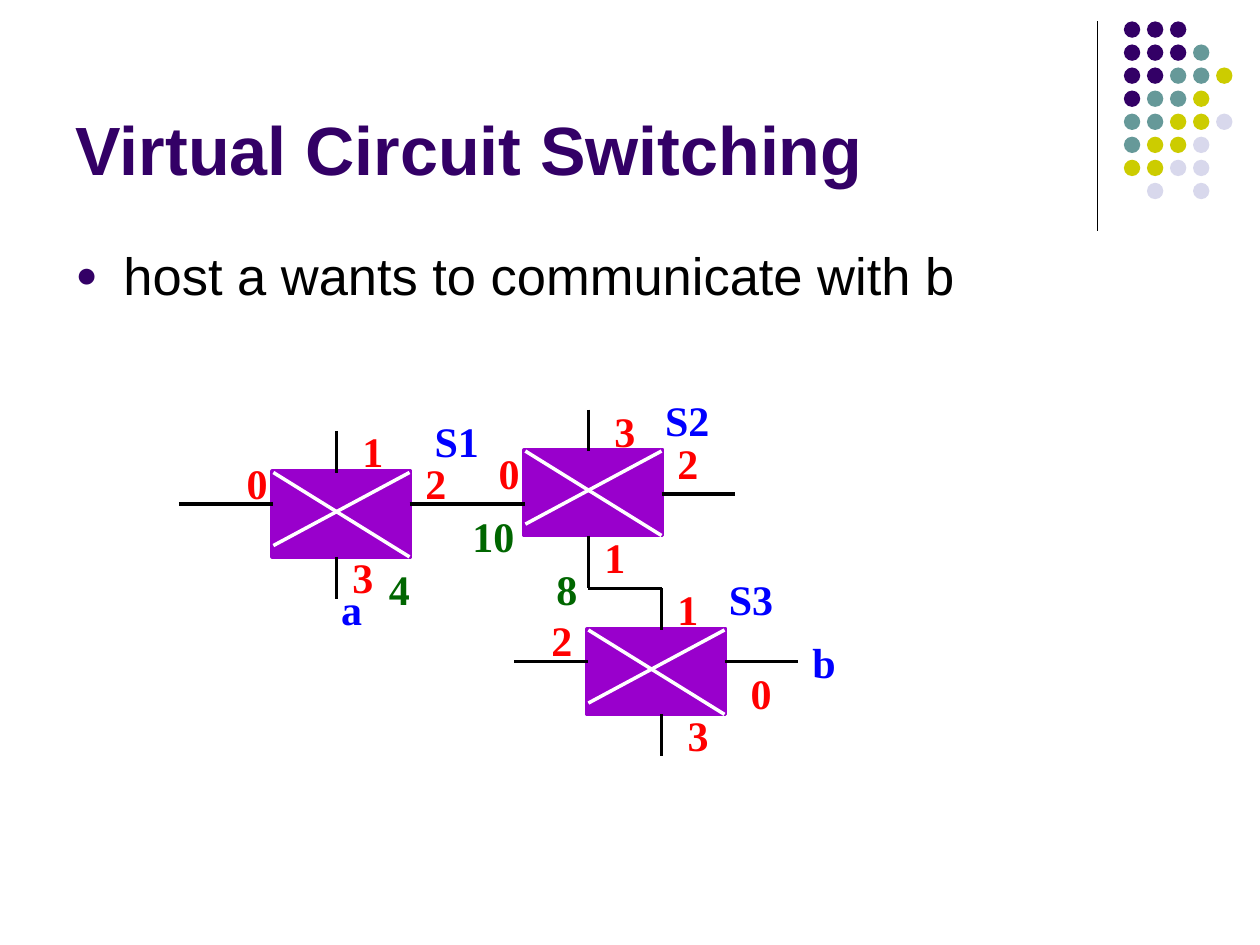
import pptx
import pptx.dml.color
import pptx.enum.shapes
import pptx.enum.text
import pptx.oxml
import pptx.oxml.ns
import pptx.util
from pptx.util import Inches

INDIGO = "330066"
PURPLE = "9900CC"
BLACK = "000000"
WHITE = "FFFFFF"
BLUE = "0000FF"
RED = "FF0000"
GREEN = "006600"

DOT_COLORS = {"I": INDIGO, "T": "669999", "Y": "CCCC00", "L": "D8D8EC"}
DOT_ROWS = ["III", "IIIT", "IITTY", "ITTY", "TTYYL", "TYYL", "YYLL", " L L"]
DOT_PITCH = 0.183
DOT_SIZE = 0.13

SWITCH_ORIGINS = [(2.17, 3.75), (4.17, 3.58), (4.67, 5)]

WIRES = [
    (1.42, 4, 2.17, 4),
    (3.25, 4, 3.83, 4),
    (3.83, 4, 4.17, 4),
    (4.67, 4.25, 4.67, 4.67),
    (4.67, 4.67, 5.25, 4.67),
    (5.25, 4.67, 5.25, 5),
    (4.08, 5.25, 4.67, 5.25),
    (5.75, 5.25, 6.33, 5.25),
    (5.25, 3.92, 5.83, 3.92),
    (5.25, 5.67, 5.25, 6),
    (2.67, 3.42, 2.67, 3.75),
    (2.67, 4.42, 2.67, 4.75),
    (4.67, 3.25, 4.67, 3.58),
]

NAMES = [
    ("S1", 3.25, 3.25, 0.75),
    ("S2", 5.08, 3.08, 0.75),
    ("S3", 5.67, 4.5, 0.58),
    ("a", 2.5, 4.58, 0.58),
    ("b", 6.25, 5, 0.58),
]

PORTS = [
    ("1", 2.75, 3.33), ("2", 3.25, 3.58), ("3", 2.67, 4.33), ("0", 1.83, 3.58),
    ("3", 4.75, 3.17), ("2", 5.25, 3.42), ("1", 4.67, 4.17), ("0", 3.83, 3.5),
    ("1", 5.25, 4.58), ("3", 5.33, 5.58), ("2", 4.25, 4.83), ("0", 5.83, 5.25),
]

CIRCUIT_NUMBERS = [("4", 2.92, 4.42, 0.5), ("8", 4.25, 4.42, 0.5), ("10", 3.5, 4, 0.83)]


def rgb(color):
    return pptx.dml.color.RGBColor.from_string(color)


def write_text(shape, text, font="Arial", size=24, color=BLACK, bold=False,
               align="LEFT", anchor="TOP", wrap=True):
    frame = shape.text_frame
    frame.word_wrap = wrap
    frame.auto_size = pptx.enum.text.MSO_AUTO_SIZE.NONE
    frame.vertical_anchor = getattr(pptx.enum.text.MSO_ANCHOR, anchor)
    paragraph = frame.paragraphs[0]
    paragraph.alignment = getattr(pptx.enum.text.PP_ALIGN, align)
    paragraph.space_before = pptx.util.Pt(0)
    run = paragraph.add_run()
    run.text = text
    run.font.name = font
    run.font.size = pptx.util.Pt(size)
    run.font.bold = bold
    run.font.color.rgb = rgb(color)
    return paragraph


def place(shape, left, top, width, height):
    shape.left, shape.top = Inches(left), Inches(top)
    shape.width, shape.height = Inches(width), Inches(height)


def add_bullet(paragraph, character, color, percent, indent):
    properties = paragraph._p.get_or_add_pPr()
    properties.set("marL", str(Inches(indent)))
    properties.set("indent", str(-Inches(indent)))
    namespace = pptx.oxml.ns.nsdecls("a")
    for element in (
        f'<a:buClr {namespace}><a:srgbClr val="{color}"/></a:buClr>',
        f'<a:buSzPct {namespace} val="{percent * 1000}"/>',
        f'<a:buFont {namespace} typeface="Arial"/>',
        f'<a:buChar {namespace} char="{character}"/>',
    ):
        properties.append(pptx.oxml.parse_xml(element))


def add_filled_shape(slide, kind, left, top, width, height, fill, line_width=0):
    shape = slide.shapes.add_shape(
        getattr(pptx.enum.shapes.MSO_SHAPE, kind),
        Inches(left), Inches(top), Inches(width), Inches(height))
    shape.shadow.inherit = False
    shape.fill.solid()
    shape.fill.fore_color.rgb = rgb(fill)
    if line_width:
        shape.line.color.rgb = rgb(fill)
        shape.line.width = pptx.util.Pt(line_width)
    else:
        shape.line.fill.background()


def add_line(slide, start_x, start_y, end_x, end_y, color=BLACK, width=2):
    connector = slide.shapes.add_connector(
        pptx.enum.shapes.MSO_CONNECTOR.STRAIGHT,
        Inches(start_x), Inches(start_y), Inches(end_x), Inches(end_y))
    connector.line.color.rgb = rgb(color)
    connector.line.width = pptx.util.Pt(width)
    effects = f'<a:effectLst {pptx.oxml.ns.nsdecls("a")}/>'
    connector._element.spPr.append(pptx.oxml.parse_xml(effects))


def add_dot_grid(slide):
    for row, dots in enumerate(DOT_ROWS):
        for column, dot in enumerate(dots):
            if dot in DOT_COLORS:
                add_filled_shape(slide, "OVAL", 8.92 + column * DOT_PITCH, 0.17 + row * DOT_PITCH,
                                 DOT_SIZE, DOT_SIZE, DOT_COLORS[dot])


def add_switch(slide, left, top):
    right = left + 1.08
    add_filled_shape(slide, "RECTANGLE", left - 0.01, top - 0.01, 1.1, 0.68, PURPLE, line_width=2)
    add_line(slide, left, top, right, top + 0.67, color=WHITE)
    add_line(slide, right, top, left, top + 0.58, color=WHITE)


def add_label(slide, text, left, top, width, color):
    box = slide.shapes.add_textbox(Inches(left), Inches(top), Inches(width), Inches(0.5))
    write_text(box, text, font="Times New Roman", color=color, bold=True, align="CENTER")


def main():
    presentation = pptx.Presentation()
    presentation.slide_width = Inches(10)
    presentation.slide_height = Inches(7.5)
    slide = presentation.slides.add_slide(presentation.slide_layouts[1])

    title, body = slide.placeholders
    place(title, 0.5, 0.13, 8.25, 1.42)
    write_text(title, "Virtual Circuit Switching", size=39, color=INDIGO, bold=True, anchor="BOTTOM")
    place(body, 0.5, 1.88, 9, 4.82)
    paragraph = write_text(body, "host a wants to communicate with b", size=30)
    add_bullet(paragraph, "●", INDIGO, percent=70, indent=0.38)

    add_line(slide, 8.71, 0.17, 8.71, 1.83, width=0.75)
    add_dot_grid(slide)

    for origin in SWITCH_ORIGINS:
        add_switch(slide, *origin)
    for wire in WIRES:
        add_line(slide, *wire)
    for name in NAMES:
        add_label(slide, *name, color=BLUE)
    for port in PORTS:
        add_label(slide, *port, width=0.42, color=RED)
    for number in CIRCUIT_NUMBERS:
        add_label(slide, *number, color=GREEN)

    presentation.save("out.pptx")


if __name__ == "__main__":
    main()
